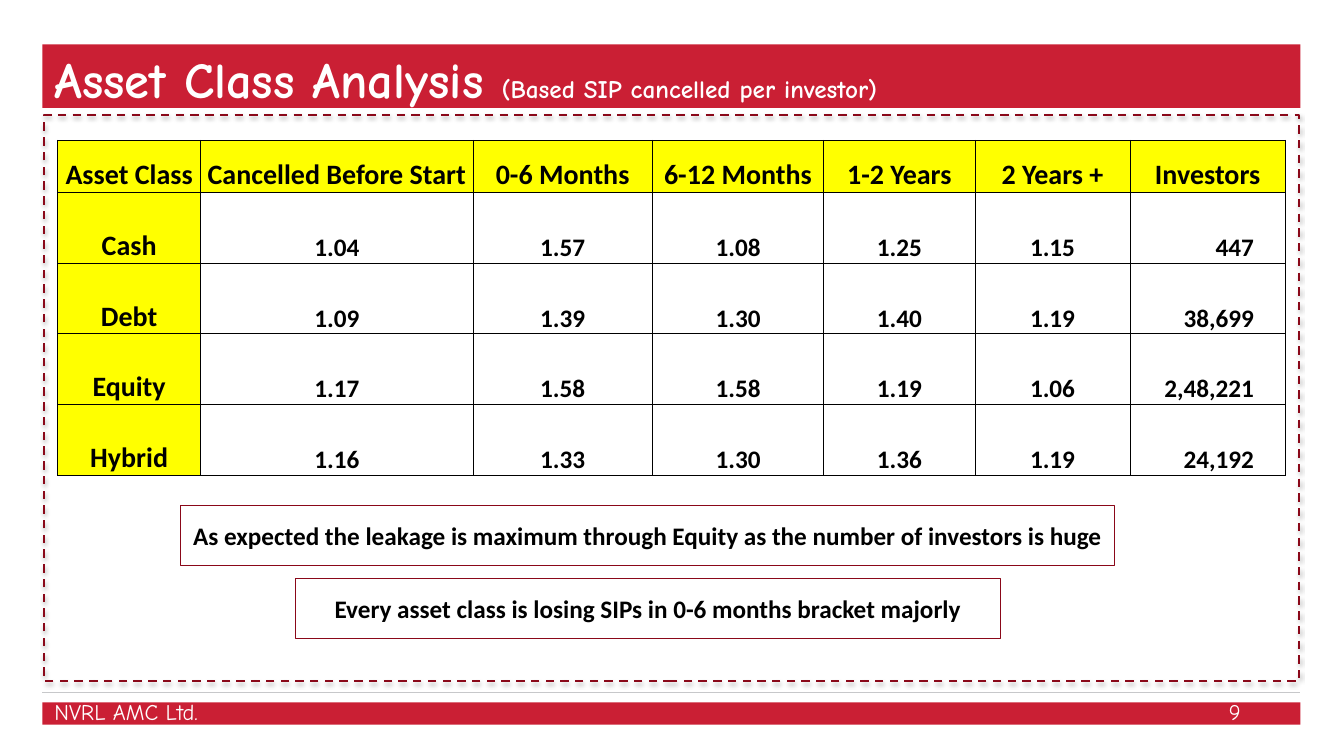
from lxml import etree
from pptx import Presentation
from pptx.dml.color import RGBColor
from pptx.enum.dml import MSO_LINE
from pptx.enum.shapes import MSO_CONNECTOR, MSO_SHAPE
from pptx.enum.text import MSO_ANCHOR, PP_ALIGN
from pptx.oxml import parse_xml
from pptx.oxml.ns import qn
from pptx.util import Cm, Pt

RECT, STRAIGHT, DASH = MSO_SHAPE.RECTANGLE, MSO_CONNECTOR.STRAIGHT, MSO_LINE.DASH
TOP, MIDDLE, BOTTOM = MSO_ANCHOR.TOP, MSO_ANCHOR.MIDDLE, MSO_ANCHOR.BOTTOM
LEFT, CENTER, RIGHT = PP_ALIGN.LEFT, PP_ALIGN.CENTER, PP_ALIGN.RIGHT
COLORS = {"band": "CA1F34", "rule": "C7C8CA", "frame": "8A0819",
          "label": "FFFF00", "white": "FFFFFF", "ink": "000000"}
BODY, HEADING = "Calibri", "Comic Neue"
DRAWING = "http://schemas.openxmlformats.org/drawingml/2006/main"

COLUMN_WIDTHS = [3.61, 6.86, 4.52, 4.32, 3.81, 3.91, 3.91]
ROWS = [
    ["Asset Class", "Cancelled Before Start", "0-6 Months", "6-12 Months",
     "1-2 Years", "2 Years +", "Investors"],
    ["Cash", "1.04", "1.57", "1.08", "1.25", "1.15", "447"],
    ["Debt", "1.09", "1.39", "1.30", "1.40", "1.19", "38,699"],
    ["Equity", "1.17", "1.58", "1.58", "1.19", "1.06", "2,48,221"],
    ["Hybrid", "1.16", "1.33", "1.30", "1.36", "1.19", "24,192"],
]


def rgb(name):
    """Return the named colour."""
    return RGBColor.from_string(COLORS[name])


def write(tf, runs, font, color, align=LEFT, anchor=TOP):
    """Fill a text frame with one paragraph of (text, size, bold) runs."""
    tf.word_wrap = True
    tf.vertical_anchor = anchor
    p = tf.paragraphs[0]
    p.alignment = align
    for text, size, bold in runs:
        r = p.add_run()
        r.text = text
        r.font.name, r.font.size, r.font.bold = font, Pt(size), bold
        r.font.color.rgb = rgb(color)


def add_rect(s, x, y, w, h, fill=None, line=None, width=0.75):
    """Add a flat rectangle with an optional fill and outline."""
    sp = s.shapes.add_shape(RECT, Cm(x), Cm(y), Cm(w), Cm(h))
    sp.shadow.inherit = False
    if fill:
        sp.fill.solid()
        sp.fill.fore_color.rgb = rgb(fill)
    else:
        sp.fill.background()
    if line:
        sp.line.color.rgb = rgb(line)
        sp.line.width = Pt(width)
    else:
        sp.line.fill.background()
    return sp


def add_text(s, x, y, w, h, runs, align=LEFT, anchor=TOP):
    """Add a white heading-font text box."""
    sp = s.shapes.add_textbox(Cm(x), Cm(y), Cm(w), Cm(h))
    write(sp.text_frame, runs, HEADING, "white", align, anchor)


def add_header(s, x, y, w, h):
    """Draw the title band with its title and subtitle."""
    add_rect(s, x, y, w, h, fill="band")
    add_text(s, x + 0.05, y - 0.03, w - 1.27, h + 0.56,
             [("Asset Class Analysis ", 36, True),
              ("(Based SIP cancelled per investor)", 18, True)])


def add_footer(s, x, y, w, h):
    """Draw the footer rule, band, company name and page number."""
    add_rect(s, x, y, w, h, fill="band")
    rule = s.shapes.add_connector(STRAIGHT, Cm(x), Cm(y - 0.25), Cm(x + w), Cm(y - 0.25))
    rule.line.color.rgb = rgb("rule")
    rule.line.width = Pt(1)
    etree.SubElement(rule._element.spPr, qn("a:effectLst"))
    add_text(s, x + 0.05, y - 0.22, 10.72, 1.02, [("NVRL AMC Ltd.", 16, False)])
    add_text(s, x + w - 8.87, y - 0.28, 7.62, 1.02, [("9", 16, False)], RIGHT, MIDDLE)


def add_frame(s, x, y, w, h):
    """Draw the dashed content frame with a soft shadow."""
    sp = add_rect(s, x, y, w, h, line="frame", width=1.5)
    sp.line.dash_style = DASH
    effects = sp._element.spPr.find(qn("a:effectLst"))
    effects.append(parse_xml(
        f'<a:outerShdw xmlns:a="{DRAWING}" blurRad="{Pt(3.1)}" dist="{Pt(1.8)}" '
        f'dir="5400000" rotWithShape="0"><a:srgbClr val="{COLORS["ink"]}">'
        '<a:alpha val="35000"/></a:srgbClr></a:outerShdw>'))


def add_borders(cell):
    """Give a table cell thin borders, ahead of its fill."""
    props = cell._tc.get_or_add_tcPr()
    for i, side in enumerate(("lnL", "lnR", "lnT", "lnB")):
        props.insert(i, parse_xml(
            f'<a:{side} xmlns:a="{DRAWING}" w="{Pt(0.5)}"><a:solidFill>'
            f'<a:srgbClr val="{COLORS["ink"]}"/></a:solidFill></a:{side}>'))


def add_asset_table(s, x, y, head_h, row_h):
    """Draw the table of cancelled SIPs per investor by asset class."""
    height = head_h + row_h * (len(ROWS) - 1)
    table = s.shapes.add_table(len(ROWS), len(COLUMN_WIDTHS), Cm(x), Cm(y),
                               Cm(sum(COLUMN_WIDTHS)), Cm(height)).table
    table.horz_banding = False
    for column, width in zip(table.columns, COLUMN_WIDTHS):
        column.width = Cm(width)
    last = len(COLUMN_WIDTHS) - 1
    for i, values in enumerate(ROWS):
        table.rows[i].height = Cm(row_h if i else head_h)
        for j, value in enumerate(values):
            cell = table.cell(i, j)
            label = i == 0 or j == 0
            count = i > 0 and j == last
            cell.margin_left = cell.margin_top = Cm(0.03)
            cell.margin_right = Cm(0.79 if count else 0.03)
            cell.margin_bottom = Cm(0)
            cell.vertical_anchor = BOTTOM
            if label:
                cell.fill.solid()
                cell.fill.fore_color.rgb = rgb("label")
            else:
                cell.fill.background()
            add_borders(cell)
            write(cell.text_frame, [(value, 20 if label else 18, True)], BODY, "ink",
                  RIGHT if count else CENTER, None)
            cell.vertical_anchor = BOTTOM


def add_callout(s, x, y, w, h, text):
    """Draw an outlined box holding one finding."""
    sp = add_rect(s, x, y, w, h, line="frame")
    write(sp.text_frame, [(text, 18, True)], BODY, "ink", CENTER, MIDDLE)


def main():
    """Build the slide and save it."""
    prs = Presentation()
    prs.slide_width, prs.slide_height = Cm(33.87), Cm(19.05)
    s = prs.slides.add_slide(prs.slide_layouts[6])
    add_header(s, 1.07, 1.12, 31.7, 1.6)
    add_footer(s, 1.07, 17.7, 31.7, 0.56)
    add_frame(s, 1.12, 2.9, 31.62, 14.27)
    add_asset_table(s, 1.45, 3.53, 1.32, 1.78)
    add_callout(s, 4.55, 12.75, 23.55, 1.5, "As expected the leakage is maximum through "
                "Equity as the number of investors is huge")
    add_callout(s, 7.44, 14.58, 17.78, 1.5,
                "Every asset class is losing SIPs in 0-6 months bracket majorly")
    prs.save("out.pptx")


if __name__ == "__main__":
    main()
